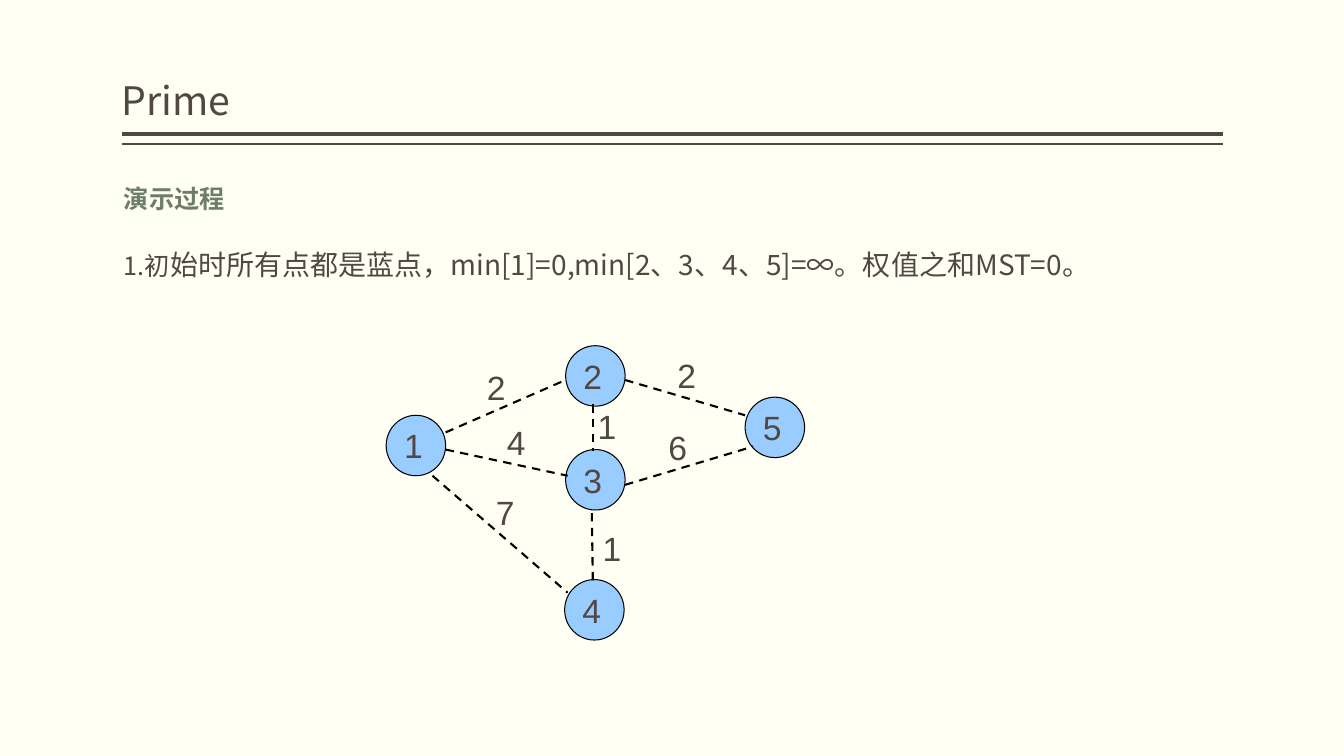
from pptx import Presentation
from pptx.dml.color import RGBColor
from pptx.enum.dml import MSO_LINE
from pptx.enum.shapes import MSO_CONNECTOR, MSO_SHAPE
from pptx.enum.text import MSO_ANCHOR, PP_ALIGN
from pptx.oxml.ns import qn
from pptx.util import Inches, Pt
from lxml.etree import SubElement

COLORS = {"paper": "FFFFF3", "ink": "514843", "green": "6D7D66",
          "node": "99CCFF", "black": "000000"}
CJK = "Noto Sans CJK SC"
CELL = 0.1  # side of a grid cell in inches
NODE_SIZE = (5.9, 6)
LABEL_SIZE = (4, 5.2)


def grid(*cells):
    return [Inches(cell * CELL) for cell in cells]


def color(name):
    return RGBColor.from_string(COLORS[name])


class SlideBuilder:
    """Places elements on one slide; lengths are grid columns and rows."""

    def __init__(self, deck):
        self.slide = deck.slides.add_slide(deck.slide_layouts[6])
        background = self.slide.background.fill
        background.solid()
        background.fore_color.rgb = color("paper")

    def format(self, target, **values):
        for name, value in values.items():
            setattr(target, name, value)

    def span(self, para, text, size, font="Arial", ink="ink", bold=False):
        span = para.add_run()
        span.text = text
        self.format(span.font, size=Pt(size), name=font, bold=bold)
        span.font.color.rgb = color(ink)
        if font == CJK:
            SubElement(span.font._element, qn("a:ea")).set("typeface", font)

    def text(self, left, top, width, height, paragraphs, spacing=1, **frame_format):
        box = self.slide.shapes.add_textbox(*grid(left, top, width, height))
        frame = box.text_frame
        self.format(frame, word_wrap=True, **frame_format)
        for index, spans in enumerate(paragraphs):
            para = frame.add_paragraph() if index else frame.paragraphs[0]
            para.line_spacing = spacing
            for span in spans:
                self.span(para, **span)

    def line(self, start, end, width, ink="black", dash=None):
        line = self.slide.shapes.add_connector(
            MSO_CONNECTOR.STRAIGHT, *grid(*start, *end))
        self.format(line.line, width=Pt(width), dash_style=dash)
        line.line.color.rgb = color(ink)
        SubElement(line._element.spPr, qn("a:effectLst"))

    def node(self, left, top, label):
        node = self.slide.shapes.add_shape(
            MSO_SHAPE.OVAL, *grid(left, top, *NODE_SIZE))
        node.shadow.inherit = False
        node.fill.solid()
        node.fill.fore_color.rgb = color("node")
        node.line.color.rgb = color("black")
        node.line.width = Pt(0.75)
        frame = node.text_frame
        self.format(frame, margin_left=0, margin_top=0, margin_bottom=0,
                    margin_right=Inches(0.05), word_wrap=False,
                    vertical_anchor=MSO_ANCHOR.MIDDLE)
        para = frame.paragraphs[0]
        para.alignment = PP_ALIGN.CENTER
        self.span(para, label, 24)


def main():
    deck = Presentation()
    deck.slide_width, deck.slide_height = Inches(13.33), Inches(7.5)
    page = SlideBuilder(deck)

    # Title and double rule
    for row, width in ((13.3, 3), (14.3, 1)):
        page.line((12.1, row), (121.3, row), width, "ink")
    page.text(12.1, 0.8, 109.2, 12, [[dict(text="Prime", size=28, font=CJK)]],
              spacing=0.9, margin_left=0, margin_right=0,
              vertical_anchor=MSO_ANCHOR.BOTTOM)

    # Graph nodes
    nodes = {"1": (38.3, 41.2), "2": (56.1, 34.3), "3": (56.1, 44.6),
             "4": (56, 57.5), "5": (73.9, 39.4)}
    for label, place in nodes.items():
        page.node(*place, label)

    # Graph edges: start, end, weight, place of the weight
    edges = [
        ((44.2, 42.9), (56.1, 37.7), "2", (47.3, 35.9)),
        ((42.9, 47.2), (56.3, 58.8), "7", (48.2, 48.3)),
        ((44.2, 44.6), (56.3, 47.2), "4", (49.3, 41.4)),
        ((58.8, 40.1), (58.8, 44.7), "1", (58.3, 39.8)),
        ((58.7, 50.9), (58.8, 57.8), "1", (58.8, 51.9)),
        ((62, 48.1), (74.7, 44.3), "6", (65.3, 41.9)),
        ((62, 37.7), (73.9, 41.2), "2", (66.2, 34.7)),
    ]
    for start, end, weight, place in edges:
        page.line(start, end, 1.5, dash=MSO_LINE.DASH)
        page.text(*place, *LABEL_SIZE, [[dict(text=weight, size=24)]])

    # Explanation
    page.text(11.3, 14.7, 105.2, 12.8, [
        [dict(text="演示过程", size=18, font=CJK, ink="green", bold=True)],
        [dict(text="1.初", size=18, font=CJK),
         dict(text="始时所有点都是蓝点，min[1]=0,min[2、3、4、5]=∞。权值之和MST=0。",
              size=20, font=CJK)],
    ], spacing=2.0)

    deck.save("out.pptx")


if __name__ == "__main__":
    main()
